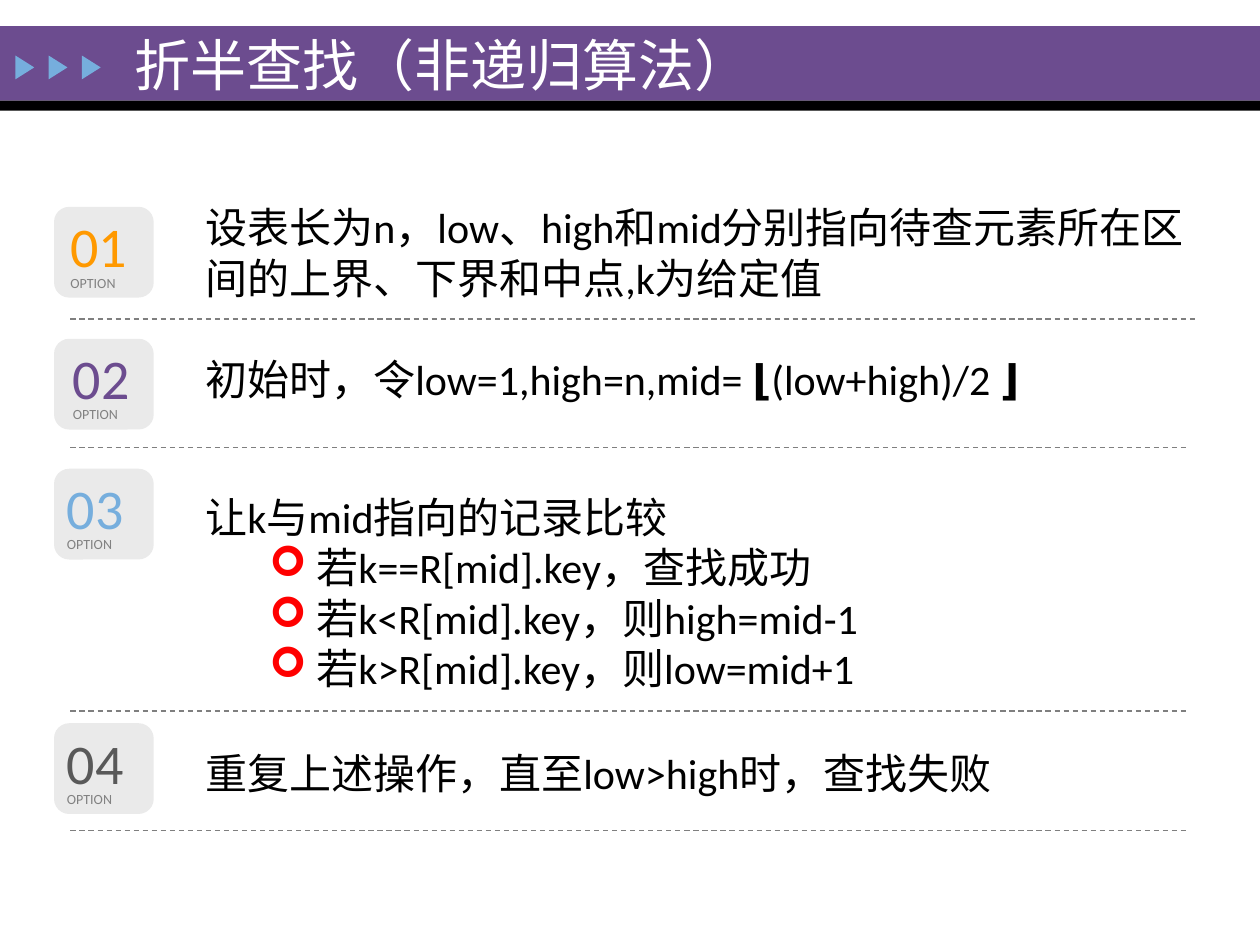
from lxml import etree
from pptx import Presentation
from pptx import util as u
from pptx.dml.color import RGBColor
from pptx.enum import dml, shapes, text
from pptx.oxml.ns import qn

COLOURS = {
    "purple": "6C4C8F", "black": "000000", "white": "FFFFFF", "blue": "76AEDD",
    "orange": "FF9900", "dark": "595959", "badge": "EAEAEA", "caption": "818181",
    "divider": "7F7F7F", "bullet": "FF0000",
}
BADGE_LEFT, BODY_LEFT, DIVIDER_LEFT = 1.09, 3.89, 1.42

STEPS = [
    dict(number="01", colour="orange", top=4.17, number_left=1.42, body_top=3.94, body_height=2.31,
         divider_top=6.43, divider_right=24.1,
         lines=[["设表长为n，low、high和mid分别指向待查元素所在区间的上界、下界和中点,k为给定值"]]),
    dict(number="02", colour="purple", top=6.83, number_left=1.47, body_top=7.11, body_height=1.17,
         divider_top=9.02, divider_right=23.9, spacing=0.9,
         lines=[["初始时，令low=1,high=n,mid=", " ⌊", "(low+high)/2 ", "⌋"]]),
    dict(number="03", colour="blue", top=9.45, number_left=1.35, body_top=9.78, body_height=4.29,
         divider_top=14.33, divider_right=23.9,
         lines=[["让k与mid指向的记录比较"], ["若k==R[mid].key，查找成功"],
                ["若k<R[mid].key，则high=mid-1"], ["若k>R[mid].key，则low=mid+1"]]),
    dict(number="04", colour="dark", top=14.58, number_left=1.35, body_top=14.94, body_height=1.02,
         divider_top=16.74, divider_right=23.9,
         lines=[["重复上述操作，直至low>high时，查找失败"]]),
]


class SlideBuilder:
    """Holds the style and the current slide, and draws each kind of element."""

    def __init__(self, slide, font="Calibri"):
        self.slide = slide
        self.font = font

    def colour(self, name):
        return RGBColor.from_string(COLOURS[name])

    def shape(self, kind, box, fill, rotation=0):
        shape = self.slide.shapes.add_shape(kind, *map(u.Cm, box))
        shape.shadow.inherit = False
        shape.fill.solid()
        shape.fill.fore_color.rgb = self.colour(fill)
        shape.line.fill.background()
        shape.rotation = rotation

    def divider(self, left, right, top):
        line = self.slide.shapes.add_connector(
            shapes.MSO_CONNECTOR.STRAIGHT, u.Cm(left), u.Cm(top), u.Cm(right), u.Cm(top))
        line.line.color.rgb = self.colour("divider")
        line.line.width = u.Pt(0.75)
        line.line.dash_style = dml.MSO_LINE.DASH
        etree.SubElement(line._element.spPr, qn("a:effectLst"))

    def bullet(self, paragraph):
        paragraph.level = 1
        properties = paragraph._p.get_or_add_pPr()
        properties.set("marL", str(u.Cm(2.24)))
        properties.set("indent", str(u.Cm(-0.95)))
        colour = etree.SubElement(properties, qn("a:buClr"))
        etree.SubElement(colour, qn("a:srgbClr"), val=COLOURS["bullet"])
        etree.SubElement(properties, qn("a:buFont"), typeface="Wingdings")
        etree.SubElement(properties, qn("a:buChar"), char="➢")

    def text(self, box, lines, size, colour, middle=False, inset=True, wrap=True, grow=False, spacing=None):
        frame = self.slide.shapes.add_textbox(*map(u.Cm, box)).text_frame
        frame.word_wrap = wrap
        if middle:
            frame.vertical_anchor = text.MSO_ANCHOR.MIDDLE
        if grow:
            frame.auto_size = text.MSO_AUTO_SIZE.SHAPE_TO_FIT_TEXT
        if not inset:
            frame.margin_left = frame.margin_right = frame.margin_top = frame.margin_bottom = 0
        for index, parts in enumerate(lines):
            paragraph = frame.add_paragraph() if index else frame.paragraphs[0]
            if spacing:
                paragraph.line_spacing = spacing
            if index:
                self.bullet(paragraph)
            for position, part in enumerate(parts):
                run = paragraph.add_run()
                run.text = part
                run.font.name = self.font
                run.font.size = u.Pt(size)
                run.font.bold = position % 2 == 1
                run.font.color.rgb = self.colour(colour)

    def header(self, title):
        self.shape(shapes.MSO_SHAPE.RECTANGLE, (0, 0.53, 25.4, 1.5), "purple")
        self.shape(shapes.MSO_SHAPE.RECTANGLE, (0, 2.03, 25.4, 0.2), "black")
        for index in range(3):
            self.shape(shapes.MSO_SHAPE.ISOSCELES_TRIANGLE,
                       (0.26 + 0.67 * index, 1.17, 0.48, 0.38), "blue", rotation=90)
        self.text((2.46, 0.58, 19, 1.42), [[title]], 32, "white", middle=True)

    def step(self, number, colour, top, number_left, body_top, body_height,
             divider_top, divider_right, lines, spacing=None):
        self.shape(shapes.MSO_SHAPE.ROUNDED_RECTANGLE, (BADGE_LEFT, top, 2.01, 1.83), "badge")
        self.text((number_left, top + 0.09, 1.4, 1.37), [[number]], 32, colour,
                  middle=True, inset=False, grow=True)
        self.text((number_left - 0.25, top + 1.23, 1.65, 0.61), [["OPTION"]], 8, "caption",
                  wrap=False, grow=True)
        self.text((BODY_LEFT, body_top, 20.85, body_height), lines, 24, "black", spacing=spacing)
        self.divider(DIVIDER_LEFT, divider_right, divider_top)


def main():
    presentation = Presentation()
    presentation.slide_width, presentation.slide_height = u.Cm(25.4), u.Cm(19.05)
    builder = SlideBuilder(presentation.slides.add_slide(presentation.slide_layouts[6]))
    builder.header("折半查找（非递归算法）")
    for step in STEPS:
        builder.step(**step)
    presentation.save("out.pptx")


if __name__ == "__main__":
    main()
